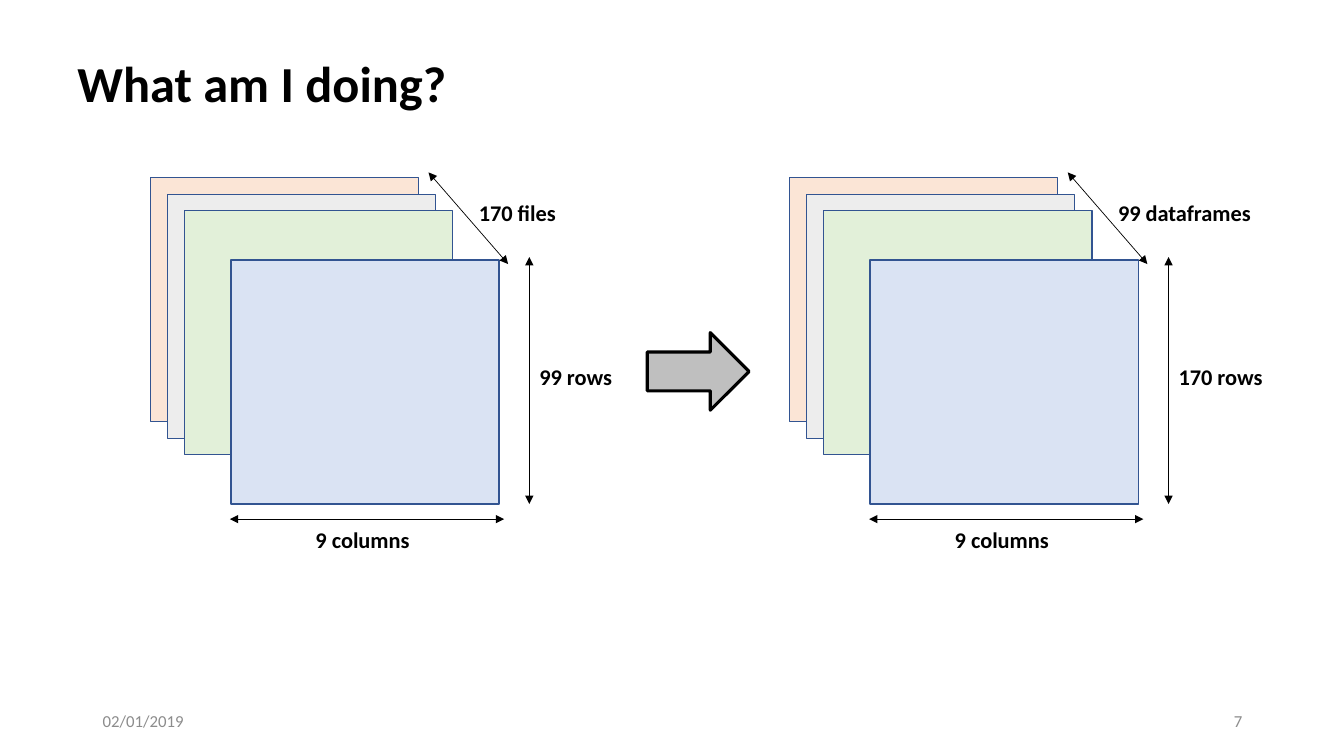
from lxml import etree
from pptx import Presentation
from pptx.dml.color import RGBColor
from pptx.enum.shapes import MSO_CONNECTOR, MSO_SHAPE
from pptx.enum.text import MSO_ANCHOR, PP_ALIGN
from pptx.oxml.ns import qn
from pptx.util import Inches, Pt

RECT, RIGHT_ARROW = MSO_SHAPE.RECTANGLE, MSO_SHAPE.RIGHT_ARROW
STRAIGHT = MSO_CONNECTOR.STRAIGHT
TOP, MIDDLE = MSO_ANCHOR.TOP, MSO_ANCHOR.MIDDLE
LEFT, RIGHT = PP_ALIGN.LEFT, PP_ALIGN.RIGHT

FONT = "Calibri"
COLORS = {
    "text": "000000", "footer": "8C8C8C", "outline": "325491",
    "arrow": "BFBFBF", "orange": "FBE5D6", "gray": "EDEDED",
    "green": "E2F0D9", "blue": "DAE3F3",
}
# Sheets of a stack, back to front: offset from the stack's left, top, colour
SHEETS = [(0, 1.76, "orange"), (0.17, 1.93, "gray"),
          (0.34, 2.09, "green"), (0.8, 2.58, "blue")]
SHEET_W, SHEET_H = 2.66, 2.42


def color(name):
    return RGBColor.from_string(COLORS[name])


def add_text(shapes, text, x, y, w, h, size=16, bold=True, fill="text",
             anchor=TOP, align=LEFT, spacing=1.0):
    tf = shapes.add_textbox(Inches(x), Inches(y), Inches(w), Inches(h)).text_frame
    tf.word_wrap = True
    tf.vertical_anchor = anchor
    p = tf.paragraphs[0]
    p.text = text
    p.alignment = align
    p.line_spacing = spacing
    p.font.name = FONT
    p.font.size = Pt(size)
    p.font.bold = bold
    p.font.color.rgb = color(fill)


def add_box(shapes, kind, x, y, w, h, fill, line, width):
    sp = shapes.add_shape(kind, Inches(x), Inches(y), Inches(w), Inches(h))
    sp.shadow.inherit = False
    sp.fill.solid()
    sp.fill.fore_color.rgb = color(fill)
    sp.line.color.rgb = color(line)
    sp.line.width = Pt(width)


def add_dimension(shapes, x1, y1, x2, y2):
    """Thin line with an arrowhead at both ends."""
    c = shapes.add_connector(STRAIGHT, Inches(x1), Inches(y1), Inches(x2), Inches(y2))
    c.line.color.rgb = color("text")
    c.line.width = Pt(0.5)
    ln = c.line._get_or_add_ln()
    for end in ("a:headEnd", "a:tailEnd"):
        etree.SubElement(ln, qn(end)).set("type", "triangle")
    etree.SubElement(c._element.spPr, qn("a:effectLst"))


def add_stack(s, x, depth, depth_w, rows, columns):
    """Grouped stack of sheets with its three labelled dimensions."""
    shapes = s.shapes.add_group_shape().shapes
    for dx, y, fill in SHEETS:
        add_box(shapes, RECT, x + dx, y, SHEET_W, SHEET_H, fill, "outline", 1)
    add_dimension(shapes, x + 0.79, 5.15, x + 3.51, 5.15)
    add_dimension(shapes, x + 3.76, 5, x + 3.76, 2.55)
    add_dimension(shapes, x + 3.55, 2.62, x + 2.76, 1.71)
    add_text(shapes, depth, x + 3.16, 1.93, depth_w, 0.37)
    add_text(shapes, rows, x + 3.76, 3.55, 1.05, 0.37)
    add_text(shapes, columns, x + 1.54, 5.17, 1.45, 0.37)


def main():
    prs = Presentation()
    prs.slide_width, prs.slide_height = Inches(13.33), Inches(7.5)
    s = prs.slides.add_slide(prs.slide_layouts[6])

    # Title
    add_text(s.shapes, "What am I doing?", 0.67, 0.47, 11.5, 0.77,
             size=36, anchor=MIDDLE, spacing=0.9)

    # Files on the left become dataframes on the right
    add_stack(s, 1.49, "170 files", 1.01, "99 rows", "9 columns")
    add_stack(s, 7.83, "99 dataframes", 1.61, "170 rows", "9 columns")
    add_box(s.shapes, RIGHT_ARROW, 6.42, 3.3, 1.01, 0.77, "arrow", "text", 2.25)

    # Footer
    for text, x, align in (("02/01/2019", 0.92, LEFT), ("7", 9.42, RIGHT)):
        add_text(s.shapes, text, x, 6.95, 3, 0.4, size=12, bold=False,
                 fill="footer", anchor=MIDDLE, align=align)

    prs.save("out.pptx")


if __name__ == "__main__":
    main()
